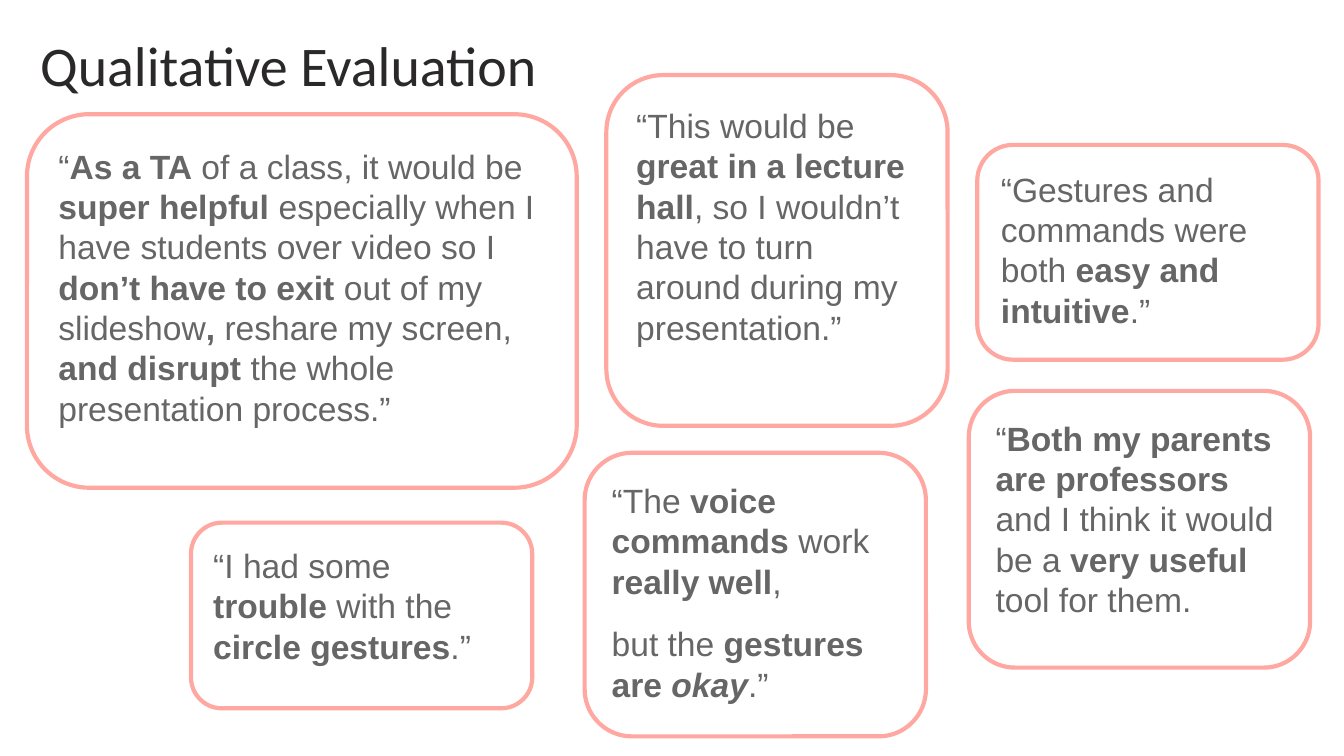
from pptx import Presentation
from pptx.dml.color import RGBColor
from pptx.enum.shapes import MSO_SHAPE
from pptx.enum.text import MSO_ANCHOR, PP_ALIGN
from pptx.util import Cm, Pt

ROUNDED = MSO_SHAPE.ROUNDED_RECTANGLE
TOP = MSO_ANCHOR.TOP
LEFT = PP_ALIGN.LEFT

COLORS = {"title": "2A2828", "quote": "666666", "border": "FFA8A1"}
INSET = Cm(0.25)
NARROW = 6.45

# Content: within a paragraph, spans alternate between plain and bold
TITLE = "Qualitative Evaluation"
QUOTES = [
    # (left, top, width, height) in cm, paragraphs
    ((0.51, 2.16, 10.39, 7.06), [[
        "“", "As a TA", " of a class, it would be ", "super helpful",
        " especially when I have students over video so I ", "don’t have to exit",
        " out of my slideshow", ",", " reshare my screen, ", "and disrupt",
        " the whole presentation process.”"]]),
    ((11.05, 8.56, NARROW, 5.36), [
        ["“The ", "voice commands ", "work", " really well", ","],
        ["but the ", "gestures are ", "", "okay", ".”"]]),
    ((18.47, 2.74, NARROW, 4.06), [[
        "“Gestures and commands were both ", "easy and intuitive", ".”"]]),
    ((18.31, 7.39, NARROW, 5.23), [[
        "“", "Both my parents are professors", " and I think it would be a ",
        "very useful ", "tool for them."]]),
    ((3.61, 9.88, NARROW, 3.51), [[
        "“I had some ", "trouble", " with the ", "circle gestures", ".”"]]),
    ((11.46, 1.42, NARROW, 6.63), [[
        "“This would be ", "great in a lecture hall",
        ", so I wouldn’t have to turn around during my presentation.”"]]),
]
ITALIC = {"okay"}


def prepare_frame(box):
    frame = box.text_frame
    frame.word_wrap = True
    frame.vertical_anchor = TOP
    frame.margin_left = frame.margin_right = INSET
    frame.margin_top = frame.margin_bottom = INSET
    return frame


def add_span(para, text, font, size, color, bold=False, italic=False):
    span = para.add_run()
    span.text = text
    span.font.name = font
    span.font.size = Pt(size)
    span.font.bold = bold
    span.font.italic = italic
    span.font.color.rgb = RGBColor.from_string(COLORS[color])


def add_quote(page, place, paragraphs):
    box = page.shapes.add_shape(ROUNDED, *map(Cm, place))
    box.shadow.inherit = False
    box.fill.background()
    box.line.color.rgb = RGBColor.from_string(COLORS["border"])
    box.line.width = Pt(2.25)
    frame = prepare_frame(box)
    for number, spans in enumerate(paragraphs):
        para = frame.add_paragraph() if number else frame.paragraphs[0]
        para.alignment = LEFT
        para.space_before = Pt(12 if number else 0)
        for position, text in enumerate(spans):
            if text:
                add_span(para, text, "Arial", 18, "quote",
                         bold=position % 2 == 1, italic=text in ITALIC)


deck = Presentation()
deck.slide_width, deck.slide_height = Cm(25.4), Cm(14.29)
page = deck.slides.add_slide(deck.slide_layouts[6])

# Title
title = page.shapes.add_textbox(Cm(0.51), Cm(0.33), Cm(23.67), Cm(1.6))
para = prepare_frame(title).paragraphs[0]
add_span(para, TITLE, "Calibri", 30, "title")

# Quote boxes
for place, paragraphs in QUOTES:
    add_quote(page, place, paragraphs)

deck.save("out.pptx")
